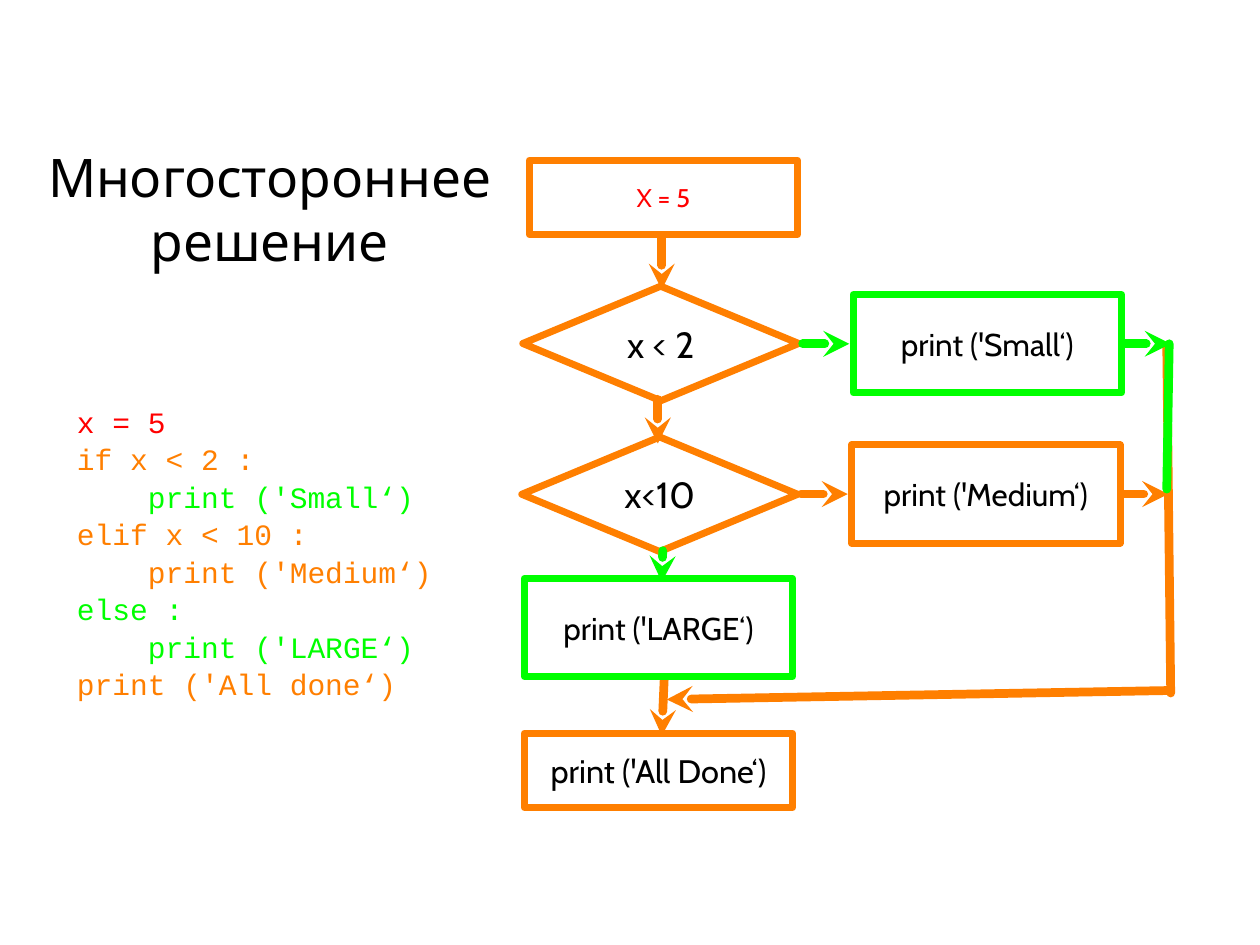
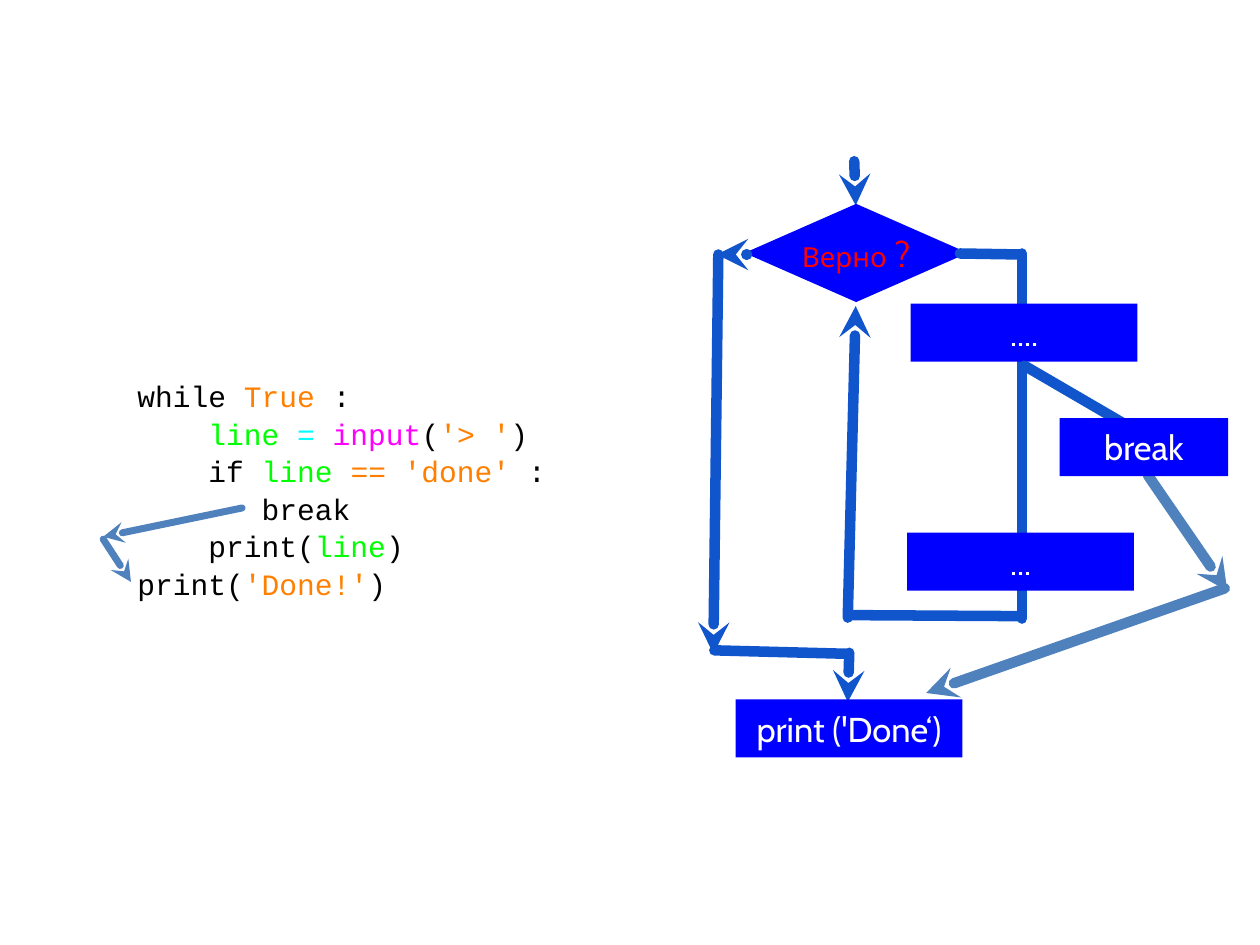
from dataclasses import dataclass
from typing import NamedTuple

from pptx import Presentation
from pptx import util as u
from pptx.dml.color import RGBColor
from pptx.enum import shapes, text
from pptx.oxml.ns import qn
from lxml import etree

# Shared look
BLACK, WHITE, RED = "000000", "FFFFFF", "FF0000"
ORANGE, GREEN, CYAN, MAGENTA = "FF7F00", "00FF00", "00FFFF", "FF00FF"
BLUE, LINK_BLUE, STEEL = "0000FF", "1155CC", "4F81BD"
LABEL_FONT, CODE_FONT = "Cabin", "Courier New"
CODE_SIZE, CODE_SPACING = 16.9, 1.06
CHAR_WIDTH = 0.6 * CODE_SIZE  # points per character of the code font
RECT = shapes.MSO_SHAPE.RECTANGLE
DIAMOND = shapes.MSO_SHAPE.DIAMOND


class Box(NamedTuple):
    """Left, top, width and height in centimetres."""
    left: float
    top: float
    width: float
    height: float

    def lengths(self) -> list:
        return [u.Cm(value) for value in self]


class Run(NamedTuple):
    text: str
    color: str = BLACK
    size: float = CODE_SIZE
    font: str = CODE_FONT


class CodeLine(NamedTuple):
    indent: int
    runs: list[Run]


@dataclass
class Node:
    box: Box
    runs: list[Run]
    kind: int = RECT
    fill: str | None = None
    line: str | None = None


@dataclass
class Link:
    start: tuple[float, float]
    end: tuple[float, float]
    color: str
    width: float
    arrow: bool = True


def rgb(color: str) -> RGBColor:
    return RGBColor.from_string(color)


def set_all(target, values: dict) -> None:
    for name, value in values.items():
        setattr(target, name, value)


def set_frame(frame, inset: float = 0, wrap: bool = True) -> None:
    margins = {f"margin_{side}": u.Cm(inset)
               for side in ("left", "top", "right", "bottom")}
    set_all(frame, {**margins, "word_wrap": wrap,
                    "vertical_anchor": text.MSO_ANCHOR.MIDDLE})


def add_runs(paragraph, runs: list[Run]) -> None:
    for item in runs:
        run = paragraph.add_run()
        run.text = item.text
        set_all(run.font, {"name": item.font, "size": u.Pt(item.size)})
        run.font.color.rgb = rgb(item.color)


def add_label(frame, runs: list[Run]) -> None:
    paragraph = frame.paragraphs[0]
    paragraph.alignment = text.PP_ALIGN.CENTER
    add_runs(paragraph, runs)


def draw_node(slide, node: Node) -> None:
    shape = slide.shapes.add_shape(node.kind, *node.box.lengths())
    shape.shadow.inherit = False
    if node.fill:
        shape.fill.solid()
        shape.fill.fore_color.rgb = rgb(node.fill)
    else:
        shape.fill.background()
    if node.line:
        shape.line.color.rgb = rgb(node.line)
        shape.line.width = u.Pt(4)
    else:
        shape.line.fill.background()
    set_frame(shape.text_frame, wrap=False)
    add_label(shape.text_frame, node.runs)


def draw_link(slide, link: Link) -> None:
    points = [u.Cm(value) for value in (*link.start, *link.end)]
    connector = slide.shapes.add_connector(
        shapes.MSO_CONNECTOR.STRAIGHT, *points)
    connector.line.color.rgb = rgb(link.color)
    connector.line.width = u.Pt(link.width)
    # Round ends, arrowhead, no shadow
    properties = connector._element.spPr
    outline = properties.find(qn("a:ln"))
    outline.set("cap", "rnd")
    etree.SubElement(outline, qn("a:round"))
    if link.arrow:
        etree.SubElement(outline, qn("a:tailEnd"), type="stealth")
    etree.SubElement(properties, qn("a:effectLst"))


def draw_diagram(slide, parts: list[Node | Link]) -> None:
    """Draw nodes and links from back to front."""
    for part in parts:
        if isinstance(part, Node):
            draw_node(slide, part)
        else:
            draw_link(slide, part)


def draw_code(slide, box: Box, lines: list[CodeLine]) -> None:
    frame = slide.shapes.add_textbox(*box.lengths()).text_frame
    set_frame(frame)
    for number, line in enumerate(lines):
        paragraph = frame.add_paragraph() if number else frame.paragraphs[0]
        paragraph.line_spacing = CODE_SPACING
        if line.indent:
            margin = u.Pt(line.indent * CHAR_WIDTH)
            paragraph._p.get_or_add_pPr().set("marL", str(margin))
        add_runs(paragraph, line.runs)


def draw_title(slide, title: str) -> None:
    box = Box(-0.25, 2.9, 11.38, 2.59)
    frame = slide.shapes.add_textbox(*box.lengths()).text_frame
    set_frame(frame, inset=0.05)
    add_label(frame, [Run(title, BLACK, 30.4, LABEL_FONT)])


# Slide 1: multi-way decision
def step(left: float, top: float, label: str, line: str, height: float = 1.98,
         size: float = 18, color: str = BLACK) -> Node:
    return Node(Box(left, top, 5.41, height),
                [Run(label, color, size, LABEL_FONT)], line=line)


def test(left: float, top: float, label: str) -> Node:
    return Node(Box(left, top, 5.56, 2.31),
                [Run(label, BLACK, 20.8, LABEL_FONT)], DIAMOND, line=ORANGE)


def flow(start: tuple, end: tuple, color: str = ORANGE,
         arrow: bool = True) -> Link:
    return Link(start, end, color, 5, arrow)


def build_decision(slide) -> None:
    code = [(0, "x = 5", RED), (0, "if x < 2 :", ORANGE),
            (4, "print ('Small‘)", GREEN), (0, "elif x < 10 :", ORANGE),
            (4, "print ('Medium‘)", ORANGE), (0, "else :", GREEN),
            (4, "print ('LARGE‘)", GREEN), (0, "print ('All done‘)", ORANGE)]
    draw_code(slide, Box(1.55, 7.16, 7.77, 7.92),
              [CodeLine(indent, [Run(words, color)])
               for indent, words, color in code])
    draw_diagram(slide, [
        test(10.54, 5.77, "x < 2"),
        step(17.2, 5.94, "print ('Small‘)", GREEN),
        flow((16.18, 6.93), (17.12, 6.93), GREEN),
        flow((23.57, 13.92), (13.44, 14.1)),
        flow((23.6, 13.97), (23.52, 6.96), arrow=False),
        flow((13.34, 4.78), (13.34, 5.84)),
        step(10.67, 3.23, "X = 5", ORANGE, 1.5, 14.6, RED),
        flow((13.39, 13.67), (13.34, 14.83)),
        step(10.57, 14.78, "print ('All Done‘)", ORANGE, 1.5, 18.6),
        test(10.52, 8.81, "x<10"),
        step(17.17, 8.97, "print ('Medium‘)", ORANGE),
        flow((16.15, 9.96), (17.09, 9.96)),
        flow((22.68, 6.93), (23.6, 6.93), GREEN),
        flow((22.61, 9.96), (23.55, 9.96)),
        flow((13.26, 8.05), (13.26, 8.94)),
        step(10.57, 11.66, "print ('LARGE‘)", GREEN),
        flow((13.36, 11.1), (13.34, 11.73), GREEN),
        flow((23.52, 9.86), (23.57, 6.93), GREEN, arrow=False),
    ])
    draw_title(slide, "Многостороннее решение")


# Slide 2: loop with break
def block(left: float, top: float, label: str, width: float = 4.57) -> Node:
    return Node(Box(left, top, width, 1.17),
                [Run(label, WHITE, 19.7, LABEL_FONT)], fill=BLUE)


def loop(start: tuple, end: tuple, arrow: bool = True) -> Link:
    return Link(start, end, LINK_BLUE, 6, arrow)


def jump(start: tuple, end: tuple, width: float) -> Link:
    return Link(start, end, STEEL, width)


def build_loop(slide) -> None:
    condition = [Run("Верно", RED, 15.8, LABEL_FONT),
                 Run(" ?", RED, 20.2, LABEL_FONT)]
    draw_diagram(slide, [
        loop((17.22, 3.25), (17.25, 4.14)),
        Node(Box(15.01, 4.11, 4.5, 1.98), condition, DIAMOND, fill=BLUE),
        loop((17.09, 12.45), (17.25, 6.17)),
        loop((20.57, 5.13), (19.35, 5.11), arrow=False),
        loop((20.6, 12.47), (20.6, 5.11), arrow=False),
        loop((17.12, 12.4), (20.52, 12.42), arrow=False),
        loop((15.06, 5.13), (14.45, 5.13)),
        loop((17.12, 13.16), (17.09, 14.15)),
        loop((14.48, 5.13), (14.38, 13.18)),
        loop((14.4, 13.11), (17.09, 13.18), arrow=False),
        block(14.83, 14.1, "print ('Done‘)"),
        block(18.36, 6.12, "...."),
        block(18.29, 10.74, "..."),
        jump((23.14, 9.58), (24.74, 11.91), 6),
        jump((24.69, 11.86), (18.67, 13.97), 6),
    ])
    draw_code(slide, Box(2.77, 7.26, 10.24, 5.18), [
        CodeLine(0, [Run("while "), Run("True ", ORANGE), Run(":")]),
        CodeLine(4, [Run("line ", GREEN), Run("= ", CYAN),
                     Run("input", MAGENTA), Run("("), Run("'> '", ORANGE),
                     Run(")")]),
        CodeLine(4, [Run("if "), Run("line ", GREEN),
                     Run("== 'done'", ORANGE), Run(" :")]),
        CodeLine(7, [Run("break")]),
        CodeLine(4, [Run("print("), Run("line", GREEN), Run(")")]),
        CodeLine(0, [Run("print("), Run("'Done!'", ORANGE), Run(")")]),
    ])
    draw_diagram(slide, [
        jump((2.08, 10.87), (2.64, 11.73), 4),
        jump((4.88, 10.24), (2.08, 10.82), 4),
        loop((22.83, 8.64), (20.65, 7.37), arrow=False),
        block(21.36, 8.43, "break", 3.4),
    ])


def main() -> None:
    presentation = Presentation()
    set_all(presentation, {"slide_width": u.Cm(25.4),
                           "slide_height": u.Cm(19.05)})
    blank = presentation.slide_layouts[6]
    for build in (build_decision, build_loop):
        build(presentation.slides.add_slide(blank))
    presentation.save("out.pptx")


if __name__ == "__main__":
    main()
